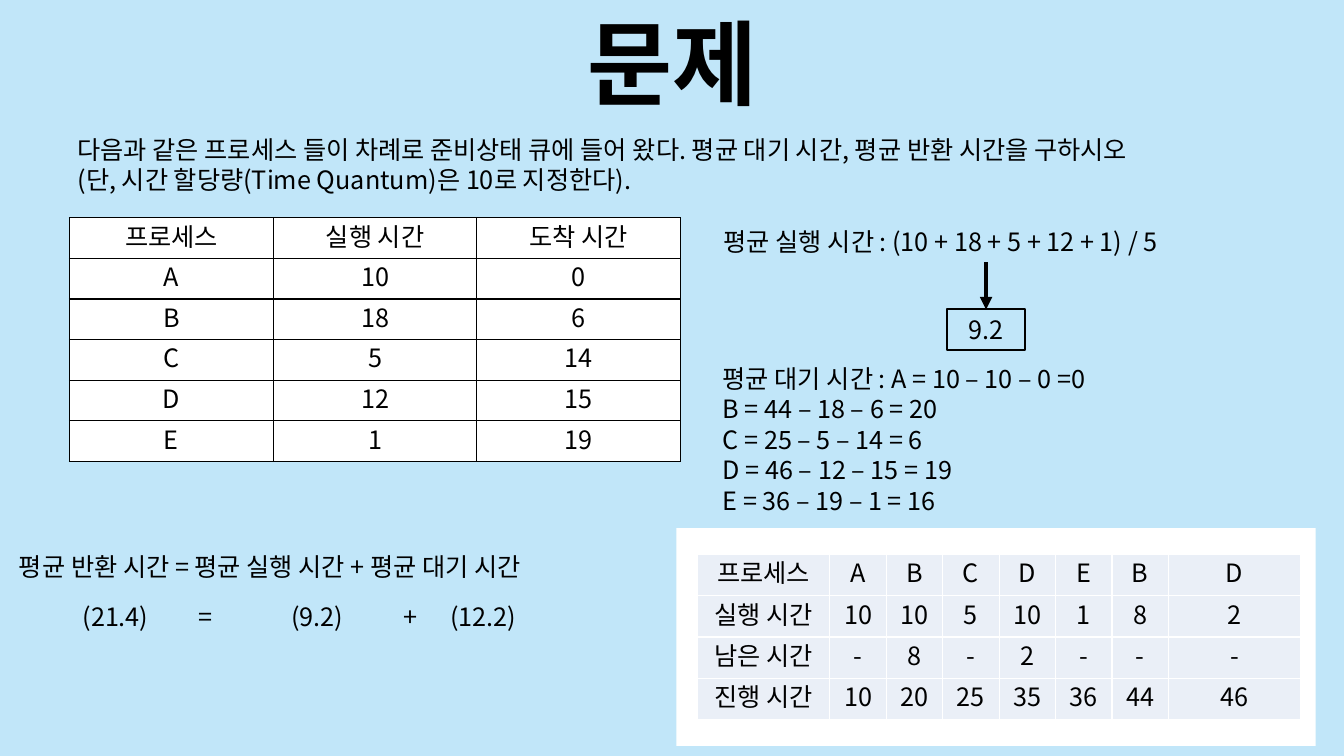
from lxml.etree import SubElement
from pptx import Presentation
from pptx.dml.color import RGBColor
from pptx.enum.shapes import MSO_CONNECTOR, MSO_SHAPE
from pptx.enum.text import PP_ALIGN
from pptx.oxml.ns import qn
from pptx.util import Inches, Pt

FONT = "Noto Sans CJK KR"
LINE_RATIO = 1.21
COLORS = {"sky": "C1E6F9", "white": "FFFFFF", "black": "000000", "pale": "EAEFF7"}
BODY = {"name": FONT, "size": Pt(18), "bold": False}
TITLE = {"name": FONT, "size": Pt(66), "bold": True}

TEXTS = [
    ((0.67, 1.28, 11.99, 0.71), [
        "다음과 같은 프로세스 들이 차례로 준비상태 큐에 들어 왔다. 평균 대기 시간, 평균 반환 시간을 구하시오",
        "(단, 시간 할당량(Time Quantum)은 10로 지정한다)."]),
    ((0.09, 5.42, 6.44, 0.4), ["평균 반환 시간 = 평균 실행 시간 + 평균 대기 시간"]),
    ((7.08, 2.19, 5.41, 0.4), ["평균 실행 시간 : (10 + 18 + 5 + 12 + 1) / 5"]),
    ((7.07, 3.55, 5.41, 1.62), [
        "평균 대기 시간 : A = 10 – 10 – 0 =0",
        "B = 44 – 18 – 6 = 20",
        "C = 25 – 5 – 14 = 6",
        "D = 46 – 12 – 15 = 19",
        "E = 36 – 19 – 1 = 16"]),
    ((0.72, 5.91, 0.89, 0.4), ["(21.4)"]),
    ((1.87, 5.91, 0.35, 0.4), ["="]),
    ((2.79, 5.91, 0.73, 0.4), ["(9.2)"]),
]
PROCESSES = [
    ["프로세스", "실행 시간", "도착 시간"],
    ["A", "10", "0"],
    ["B", "18", "6"],
    ["C", "5", "14"],
    ["D", "12", "15"],
    ["E", "1", "19"],
]
SCHEDULE = [
    ["프로세스", "A", "B", "C", "D", "E", "B", "D"],
    ["실행 시간", "10", "10", "5", "10", "1", "8", "2"],
    ["남은 시간", "-", "8", "-", "2", "-", "-", "-"],
    ["진행 시간", "10", "20", "25", "35", "36", "44", "46"],
]


def rgb(name):
    """Return the named palette colour."""
    return RGBColor.from_string(COLORS[name])


def write(tf, lines, fmt=BODY, align=PP_ALIGN.LEFT):
    """Fill a text frame with one paragraph per line."""
    for i, line in enumerate(lines):
        p = tf.paragraphs[0] if i == 0 else tf.add_paragraph()
        p.alignment = align
        p.line_spacing = Pt(round(fmt["size"].pt * LINE_RATIO, 1))
        r = p.add_run()
        r.text = line
        for key, value in fmt.items():
            setattr(r.font, key, value)
        r.font.color.rgb = rgb("black")
        SubElement(r.font._element, qn("a:ea"), typeface=FONT)


def add_text(s, box, lines, fmt=BODY, align=PP_ALIGN.LEFT):
    """Add a wrapping text box and return its text frame."""
    tf = s.shapes.add_textbox(*map(Inches, box)).text_frame
    tf.word_wrap = True
    write(tf, lines, fmt, align)
    return tf


def add_rect(s, box, fill=None, line=None):
    """Add a flat rectangle with an optional fill and outline."""
    sp = s.shapes.add_shape(MSO_SHAPE.RECTANGLE, *map(Inches, box))
    sp.shadow.inherit = False
    if fill:
        sp.fill.solid()
        sp.fill.fore_color.rgb = rgb(fill)
    else:
        sp.fill.background()
    if line:
        sp.line.color.rgb = rgb(line)
        sp.line.width = Pt(1.5)
    else:
        sp.line.fill.background()
    return sp


def add_arrow_to(s, sp, length):
    """Add a downward arrow that ends at the top of a shape."""
    x = sp.left + sp.width // 2
    cx = s.shapes.add_connector(MSO_CONNECTOR.STRAIGHT, x, sp.top - Inches(length), x, sp.top)
    cx.end_connect(sp, 0)
    cx.line.color.rgb = rgb("black")
    cx.line.width = Pt(3)
    SubElement(cx.line._get_or_add_ln(), qn("a:tailEnd"), type="triangle")
    SubElement(cx._element.spPr, qn("a:effectLst"))


def add_borders(cell, color):
    """Draw all four borders of a table cell."""
    for side in ("lnL", "lnR", "lnT", "lnB"):
        ln = SubElement(cell._tc.get_or_add_tcPr(), qn(f"a:{side}"), w=str(Pt(1)))
        SubElement(SubElement(ln, qn("a:solidFill")), qn("a:srgbClr"), val=COLORS[color])


def add_grid(s, left, top, widths, row_height, rows, fill, border):
    """Add a centred table with one fill and one border colour."""
    size = (sum(widths), row_height * len(rows))
    table = s.shapes.add_table(len(rows), len(widths), *map(Inches, (left, top, *size))).table
    table.first_row = table.horz_banding = False
    for column, width in zip(table.columns, widths):
        column.width = Inches(width)
    for i, row in enumerate(rows):
        table.rows[i].height = Inches(row_height)
        for j, value in enumerate(row):
            cell = table.cell(i, j)
            add_borders(cell, border)
            cell.fill.solid()
            cell.fill.fore_color.rgb = rgb(fill)
            write(cell.text_frame, [value], align=PP_ALIGN.CENTER)


def add_tab_stop(tf, position):
    """Set a left tab stop on the first paragraph."""
    tabs = SubElement(tf.paragraphs[0]._p.get_or_add_pPr(), qn("a:tabLst"))
    SubElement(tabs, qn("a:tab"), pos=str(Inches(position)), algn="l")


def main():
    """Build the scheduling problem slide."""
    prs = Presentation()
    prs.slide_width, prs.slide_height = Inches(13.33), Inches(7.5)
    s = prs.slides.add_slide(prs.slide_layouts[6])
    add_rect(s, (0, 0, 13.33, 7.5), "sky")
    add_text(s, (4.41, 0, 4.52, 1.21), ["문제"], TITLE, PP_ALIGN.CENTER)
    add_grid(s, 0.69, 2.16, [2.02] * 3, 0.4, PROCESSES, "white", "black")
    for box, lines in TEXTS:
        add_text(s, box, lines)
    add_tab_stop(add_text(s, (3.9, 5.91, 2.13, 0.4), ["+\t(12.2)"]), 0.47)
    result = add_rect(s, (9.39, 3.07, 0.78, 0.4), line="black")
    write(result.text_frame, ["9.2"], align=PP_ALIGN.CENTER)
    add_arrow_to(s, result, 0.47)
    add_rect(s, (6.71, 5.24, 6.34, 2.16), "white")
    add_grid(s, 6.92, 5.5, [1.31] + [0.56] * 6 + [1.31], 0.41, SCHEDULE, "pale", "white")
    prs.save("out.pptx")


if __name__ == "__main__":
    main()
